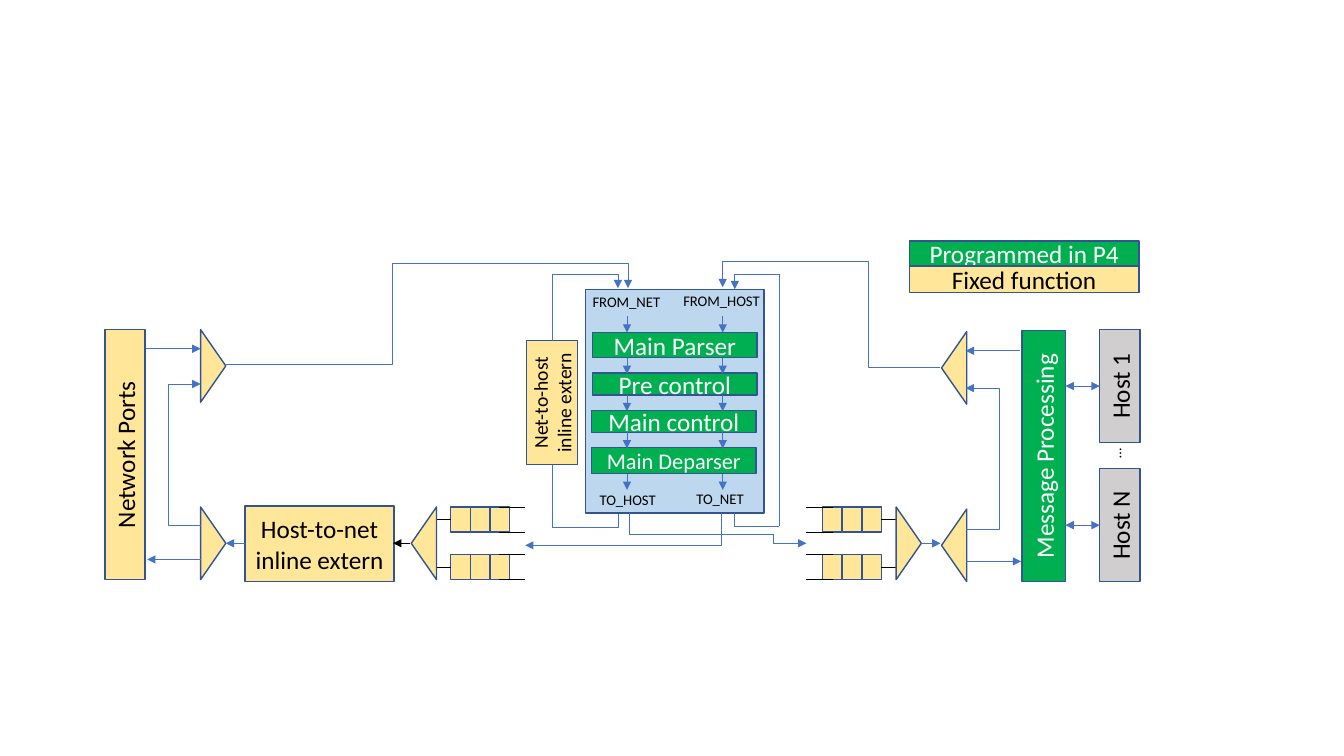
"""Draw the block diagram of a programmable NIC pipeline between network ports and hosts."""
import dataclasses
import itertools

import pptx
import pptx.dml.color
import pptx.enum.shapes
import pptx.enum.text
import pptx.oxml.ns
import pptx.oxml.xmlchemy
import pptx.shapes.autoshape
import pptx.slide
import pptx.util
from lxml import etree

GRID_CELL = pptx.util.Inches(0.1)
COLUMNS, ROWS = 133.33, 75
FONT = "Calibri"
GREEN, YELLOW, GREY, SKY = "00B050", "FFE699", "D0CECE", "BDD7EE"
BLACK, WHITE, OUTLINE, BLUE = "000000", "FFFFFF", "325491", "4472C4"
RECTANGLE = pptx.enum.shapes.MSO_SHAPE.RECTANGLE
TRIANGLE = pptx.enum.shapes.MSO_SHAPE.ISOSCELES_TRIANGLE


@dataclasses.dataclass(frozen=True)
class Block:
    """A filled block, placed in grid columns and rows as it appears after turning."""
    column: float
    row: float
    width: float
    height: float
    fill: str
    text: str = ""
    size: float = 18
    turn: int = 0
    outline: pptx.enum.shapes.MSO_SHAPE = RECTANGLE


@dataclasses.dataclass(frozen=True)
class Label:
    """A small caption without fill."""
    column: float
    row: float
    width: float
    height: float
    text: str
    turn: int = 0


@dataclasses.dataclass(frozen=True)
class Wire:
    """A connector; bends hold the adjustments of an elbow that leaves horizontally."""
    start: tuple[float, float]
    end: tuple[float, float]
    arrows: tuple[str, ...] = ("tailEnd",)
    bends: tuple[float, ...] = ()
    color: str = BLUE


@dataclasses.dataclass(frozen=True)
class QueueBank:
    """Two queues with their cells, open rails and stubs towards a multiplexer."""
    cells: float
    rails: float
    stubs: float


CORNER, PLAIN, HEAD, BOTH = (1,), (), ("headEnd",), ("headEnd", "tailEnd")

BLOCKS = [
    Block(10.4, 32.7, 4, 24.8, YELLOW, "Network Ports", turn=270),
    Block(101.4, 32.8, 4.3, 24.9, GREEN, "Message Processing", turn=270),
    Block(109.1, 32.7, 4, 11.2, GREY, "Host 1", turn=270),
    Block(109.1, 46.5, 4, 11.2, GREY, "Host N", turn=270),
    Block(24.3, 50.2, 14.8, 7.5, YELLOW, "Host-to-net inline extern"),
    Block(52.2, 33.8, 5.1, 12.3, YELLOW, "Net-to-host inline extern", 14, 270),
    Block(90.2, 23.9, 22.8, 2.5, GREEN, "Programmed in P4"),
    Block(90.2, 26.4, 22.8, 2.6, YELLOW, "Fixed function"),
    Block(58.1, 28.7, 17.7, 22.2, SKY),
    Block(58.8, 33, 16.3, 2.5, GREEN, "Main Parser"),
    Block(58.8, 37, 16.3, 2.2, GREEN, "Pre control"),
    Block(58.7, 40.7, 16.3, 2.2, GREEN, "Main control"),
    Block(58.7, 44.4, 16.3, 2.6, GREEN, "Main Deparser", 16),
]
MULTIPLEXERS = [
    Block(column, row, 2.5, 7.2, YELLOW, turn=turn, outline=TRIANGLE)
    for column, row, turn in [
        (19.9, 32.7, 90), (19.9, 50.3, 90), (40.8, 50.3, 270),
        (88.9, 50.3, 90), (93.4, 32.9, 270), (93.4, 50.5, 270),
    ]
]
LABELS = [
    Label(57.8, 28.6, 8.9, 2.8, "FROM_NET"),
    Label(66.8, 28.5, 9.8, 2.8, "FROM_HOST"),
    Label(58.5, 48.2, 7.8, 2.8, "TO_HOST"),
    Label(68.1, 48.1, 6.8, 2.8, "TO_NET"),
    Label(109.3, 43.9, 2.8, 2.6, "…", 270),
]
QUEUE_BANKS = [QueueBank(44.7, 49.5, 43.2), QueueBank(81.6, 80, 87.4)]
QUEUE_ROWS, CELL_STEP, CELL_HEIGHT = (50.3, 55), 1.95, 2.5
RAIL_LENGTH, STUB_LENGTH = 2.6, 1.5

PIPELINE_WIRES = [
    Wire((column, row), (column, row + 1.6))
    for column, row in itertools.product((62.2, 71.7), (31.4, 35.5, 39.2, 42.9, 47))
]
WIRES = [
    Wire((40.7, 53.9), (39, 53.9), color=BLACK),
    Wire((14.5, 34.6), (19.9, 34.6)),
    Wire((19.9, 55.5), (14.6, 55.5)),
    Wire((24.3, 53.9), (22.4, 53.9)),
    Wire((19.9, 52.1), (16.7, 44.1), PLAIN, CORNER),
    Wire((19.9, 38.1), (16.7, 44.1), HEAD, CORNER),
    Wire((22.4, 36.2), (62.3, 28.6), bends=(0.415, 1.33)),
    Wire((93.3, 36.4), (71.7, 28.5), bends=(0.333, 1.32)),
    Wire((95.8, 52.5), (99.1, 44.4), PLAIN, CORNER),
    Wire((95.8, 38.5), (99.1, 44.4), HEAD, CORNER),
    Wire((95.8, 55.7), (101.3, 55.7)),
    Wire((101.2, 34.8), (95.8, 34.8)),
    Wire((91.4, 53.9), (93.3, 53.9)),
    Wire((105.7, 38.3), (109.1, 38.3), BOTH),
    Wire((105.7, 52.1), (109.1, 52.1), BOTH),
    Wire((52.1, 54.1), (71.6, 50.9), HEAD, CORNER),
    Wire((76.7, 53), (62.4, 50.9), PLAIN, CORNER),
    Wire((76.7, 53), (76.7, 53.9), PLAIN),
    Wire((76.7, 53.9), (80, 53.9)),
    Wire((77.3, 52.2), (72.9, 50.9), PLAIN, CORNER),
    Wire((77.3, 27.2), (72.9, 28.7), bends=CORNER),
    Wire((77.3, 52.2), (77.3, 27.2), PLAIN),
    Wire((54.8, 52.3), (61.3, 51), PLAIN, CORNER),
    Wire((54.8, 27.2), (61.3, 28.6), bends=CORNER),
    Wire((54.8, 33.8), (54.8, 27.2), PLAIN),
    Wire((54.8, 52.3), (54.8, 46.1), PLAIN),
]


def paint(color: str) -> pptx.dml.color.RGBColor:
    """Turn a hex string into a colour."""
    return pptx.dml.color.RGBColor.from_string(color)


def grid(*lengths: float) -> list[int]:
    """Convert grid lengths to slide units."""
    return [round(length * GRID_CELL) for length in lengths]


def turned_frame(item: Block | Label) -> list[int]:
    """Return left, top, width and height before the item is turned."""
    width, height = (item.height, item.width) if item.turn else (item.width, item.height)
    left = item.column + (item.width - width) / 2
    top = item.row + (item.height - height) / 2
    return grid(left, top, width, height)


def write(shape: pptx.shapes.autoshape.Shape, text: str, size: float, color: str, centred: bool) -> None:
    """Put one formatted paragraph into a shape."""
    shape.text_frame.text = text
    paragraph = shape.text_frame.paragraphs[0]
    alignment = pptx.enum.text.PP_ALIGN
    paragraph.alignment = alignment.CENTER if centred else alignment.LEFT
    for run in paragraph.runs:
        run.font.name = FONT
        run.font.size = pptx.util.Pt(size)
        run.font.color.rgb = paint(color)


def draw_block(slide: pptx.slide.Slide, block: Block) -> None:
    """Draw a filled block with its text."""
    shape = slide.shapes.add_shape(block.outline, *turned_frame(block))
    shape.rotation = block.turn
    shape.shadow.inherit = False
    shape.fill.solid()
    shape.fill.fore_color.rgb = paint(block.fill)
    shape.line.color.rgb = paint(OUTLINE)
    shape.line.width = pptx.util.Pt(1)
    if block.text:
        shape.text_frame.word_wrap = True
        shape.text_frame.vertical_anchor = pptx.enum.text.MSO_ANCHOR.MIDDLE
        write(shape, block.text, block.size, WHITE if block.fill == GREEN else BLACK, True)


def draw_label(slide: pptx.slide.Slide, label: Label) -> None:
    """Draw a caption."""
    shape = slide.shapes.add_textbox(*turned_frame(label))
    shape.rotation = label.turn
    shape.text_frame.word_wrap = bool(label.turn)
    write(shape, label.text, 10.5, BLACK, bool(label.turn))


def draw_wire(slide: pptx.slide.Slide, wire: Wire) -> None:
    """Draw a straight or elbow connector with its arrowheads."""
    kinds = pptx.enum.shapes.MSO_CONNECTOR
    kind = kinds.ELBOW if wire.bends else kinds.STRAIGHT
    connector = slide.shapes.add_connector(kind, *grid(*wire.start, *wire.end))
    connector.line.color.rgb = paint(wire.color)
    connector.line.width = pptx.util.Pt(0.5)
    qualified = pptx.oxml.ns.qn
    properties = connector.element.spPr
    for arrow in wire.arrows:
        etree.SubElement(properties.find(qualified("a:ln")), qualified(f"a:{arrow}"), type="triangle")
    etree.SubElement(properties, qualified("a:effectLst"))
    if wire.bends:
        geometry = properties.find(qualified("a:prstGeom"))
        geometry.set("prst", f"bentConnector{len(wire.bends) + 2}")
        adjustments = geometry.find(qualified("a:avLst"))
        for number, bend in enumerate(wire.bends, 1):
            name = f"adj{number}"
            etree.SubElement(adjustments, qualified("a:gd"), name=name, fmla=f"val {round(bend * 100000)}")
    if len(wire.bends) == 1:
        geometry.set("prst", "bentConnector3")


def draw_queues(slide: pptx.slide.Slide, bank: QueueBank) -> None:
    """Draw both queues of a bank."""
    for row in QUEUE_ROWS:
        for index in range(3):
            draw_block(slide, Block(bank.cells + index * CELL_STEP, row, CELL_STEP, CELL_HEIGHT, YELLOW))
        for left, length, share in [(bank.rails, RAIL_LENGTH, 0), (bank.rails, RAIL_LENGTH, 1),
                                    (bank.stubs, STUB_LENGTH, 0.5)]:
            level = row + share * CELL_HEIGHT
            draw_wire(slide, Wire((left, level), (left + length, level), PLAIN, color=BLACK))


def main() -> None:
    """Build and save the slide."""
    presentation = pptx.Presentation()
    presentation.slide_width, presentation.slide_height = grid(COLUMNS, ROWS)
    slide = presentation.slides.add_slide(presentation.slide_layouts[6])
    for bank in QUEUE_BANKS:
        draw_queues(slide, bank)
    for block in BLOCKS + MULTIPLEXERS:
        draw_block(slide, block)
    for label in LABELS:
        draw_label(slide, label)
    for wire in PIPELINE_WIRES + WIRES:
        draw_wire(slide, wire)
    presentation.save("out.pptx")


if __name__ == "__main__":
    main()
